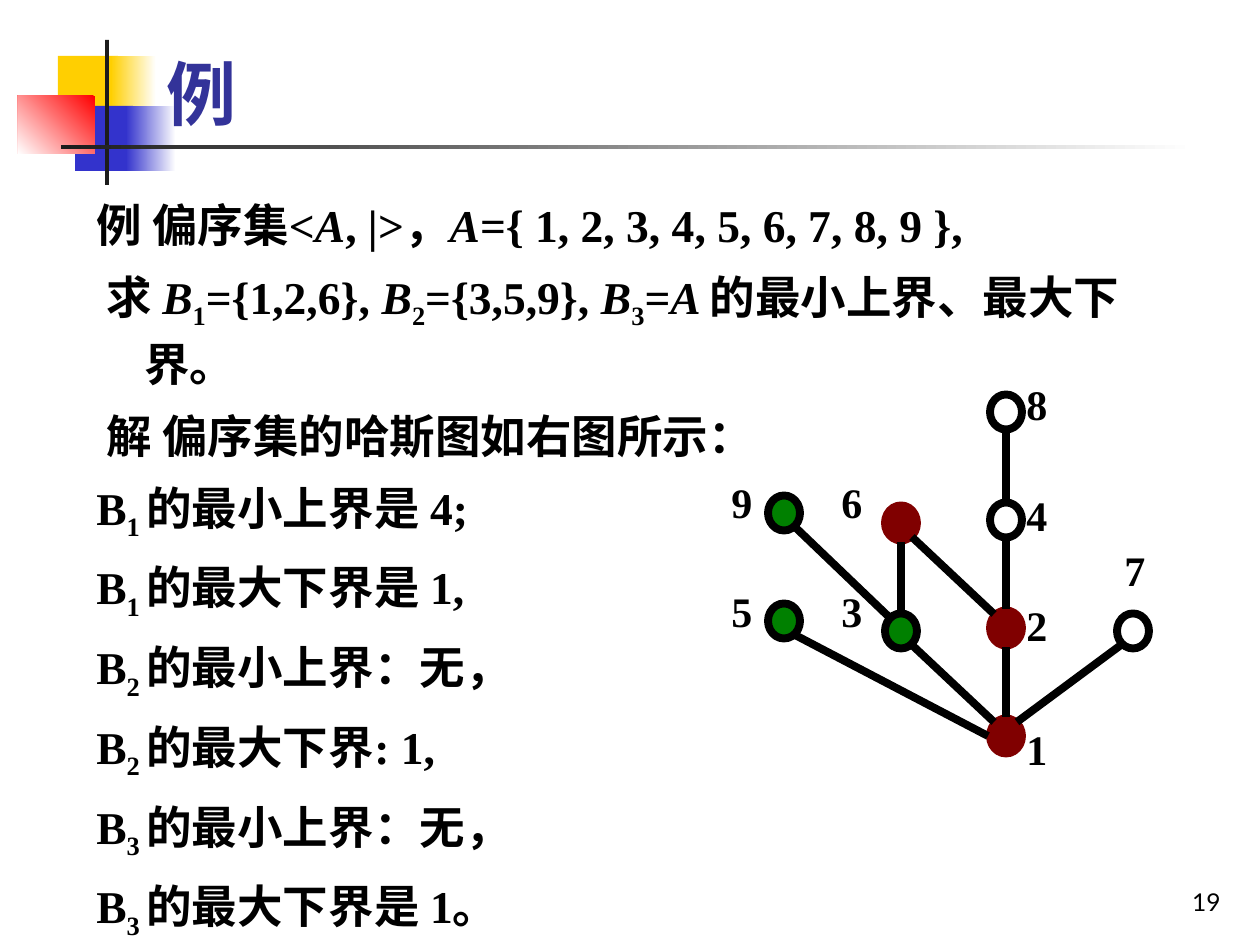
"""Build the slide on least upper and greatest lower bounds in a poset."""
from pptx import Presentation
from pptx.dml.color import RGBColor
from pptx.enum.shapes import MSO_CONNECTOR as CONN, MSO_SHAPE as SHAPE
from pptx.enum.text import MSO_ANCHOR as ANCHOR, PP_ALIGN as ALIGN
from pptx.util import Emu, Pt
from lxml.etree import SubElement
from pptx.oxml.ns import qn

COLORS = {"white": "FFFFFF", "black": "000000", "yellow": "FFCF01",
          "blue": "3333CC", "red": "FF0000", "ink": "1C1C1C",
          "title": "333399", "maroon": "800000", "green": "008000"}
SERIF, CJK = "Times New Roman", "Noto Sans CJK SC"

DECOR = [
    ((58, 56, 60, 66), ["yellow"], 0),
    ((111, 56, 45, 66), ["white", "yellow"], 180),
    ((75, 106, 58, 65), ["blue"], 0),
    ((126, 106, 50, 65), ["white", "blue"], 180),
    ((18, 96, 77, 58), ["red", "white"], 225),
    ((105, 40, 4, 145), ["ink"], 0),
    ((61, 145, 1134, 4), ["white", "ink"], 180),
]

HANG = 48
BODY = [
    (-HANG, [("例 偏序集<", ""), ("A", "i"), (", ", ""), ("|", "i"), (">，", ""),
             ("A", "i"), ("={ 1, 2, 3, 4, 5, 6, 7, 8, 9 },", "")]),
    (-38, [("求 ", ""), ("B", "i"), ("1", "sub"), ("={1,2,6}, ", ""),
           ("B", "i"), ("2", "sub"), ("={3,5,9}, ", ""), ("B", "i"), ("3", "sub"),
           ("=", ""), ("A ", "i"), ("的最小上界、最大下界。", "")]),
    (-38, [("解 ", ""), ("偏序集的哈斯图如右图所示：", "cjk")]),
]
ANSWERS = [("1", "的最小上界是 4;"), ("1", "的最大下界是 1,"),
           ("2", "的最小上界：无，"), ("2", "的最大下界: 1,"),
           ("3", "的最小上界：无，"), ("3", "的最大下界是 1。")]
BODY += [(-HANG, [("B", ""), (n + " ", "sub"), (text, "")]) for n, text in ANSWERS]

NODES = {
    "8": ((1006, 412), None, "black", (1014, 367)),
    "4": ((1006, 520), None, "black", (1014, 478)),
    "2": ((1006, 628), "maroon", "maroon", (1014, 588)),
    "1": ((1006, 736), "maroon", "maroon", (1014, 712)),
    "6": ((901, 523), "maroon", "maroon", (829, 465)),
    "3": ((901, 631), "green", "black", (829, 574)),
    "9": ((784, 513), "green", "black", (719, 465)),
    "5": ((784, 621), "green", "black", (719, 574)),
    "7": ((1133, 631), None, "black", (1112, 533)),
}
NODE_W, NODE_H = 32, 35
SITES = {"top": (0, -19), "bottom": (0, 19), "left": (-18, 0),
         "top left": (-12, -14), "top right": (11, -14),
         "bottom left": (-12, 14), "bottom right": (11, 14)}
EDGES = [("7", "bottom left", "1", "top right"), ("1", "top", "2", "bottom"),
         ("2", "top", "4", "bottom"), ("4", "top", "8", "bottom"),
         ("2", "top left", "6", "bottom right"), ("1", "top left", "3", "bottom right"),
         ("3", "top", "6", "bottom"), ("3", "top left", "9", "bottom right"),
         ("1", "left", "5", "bottom right")]


def px(v):
    return Emu(round(v * 914400 / 126))


def rgb(name):
    return RGBColor.from_string(COLORS[name])


def add_preset(s, kind, box):
    sp = s.shapes.add_shape(kind, *map(px, box))
    sp.shadow.inherit = False
    return sp


def add_decor(s, box, colors, angle):
    sp = add_preset(s, SHAPE.RECTANGLE, box)
    sp.line.fill.background()
    if len(colors) == 1:
        sp.fill.solid()
        sp.fill.fore_color.rgb = rgb(colors[0])
        return
    sp.fill.gradient()
    sp.fill.gradient_angle = angle
    for stop, color in zip(sp.fill.gradient_stops, colors):
        stop.color.rgb = rgb(color)


def add_frame(s, box, anchor=ANCHOR.TOP):
    tf = s.shapes.add_textbox(*map(px, box)).text_frame
    tf.word_wrap = True
    tf.vertical_anchor = anchor
    return tf


def style(r, size, font=SERIF, color="black", bold=True):
    r.font.size, r.font.name, r.font.bold = Pt(size), font, bold
    r.font.color.rgb = rgb(color)


def add_label(s, box, text, size, anchor=ANCHOR.TOP, **look):
    tf = add_frame(s, box, anchor)
    tf.text = text
    style(tf.paragraphs[0].runs[0], size, **look)
    return tf.paragraphs[0]


def add_body(s):
    tf = add_frame(s, (84, 185, 1131, 702))
    for i, (indent, runs) in enumerate(BODY):
        p = tf.add_paragraph() if i else tf.paragraphs[0]
        p.line_spacing = 1.1
        p.space_before = Pt(6.5 if i else 0)
        pPr = p._p.get_or_add_pPr()
        pPr.set("marL", str(px(HANG)))
        pPr.set("indent", str(px(indent)))
        pPr.set("hangingPunct", "0")
        for text, kind in runs:
            r = p.add_run()
            r.text = text
            style(r, 26, CJK if kind == "cjk" else SERIF)
            r.font.italic = kind == "i"
            if kind == "sub":
                r._r.get_or_add_rPr().set("baseline", "-25000")


def add_node(s, center, fill, line):
    x, y = center
    sp = add_preset(s, SHAPE.OVAL, (x - NODE_W / 2, y - NODE_H / 2, NODE_W, NODE_H))
    if fill:
        sp.fill.solid()
        sp.fill.fore_color.rgb = rgb(fill)
    else:
        sp.fill.background()
    sp.line.color.rgb = rgb(line)
    sp.line.width = Pt(4.5)


def site(node, side):
    return [px(c + d) for c, d in zip(NODES[node][0], SITES[side])]


def add_hasse(s):
    for center, fill, line, _ in NODES.values():
        add_node(s, center, fill, line)
    for a, a_side, b, b_side in EDGES:
        cx = s.shapes.add_connector(CONN.STRAIGHT, *site(a, a_side), *site(b, b_side))
        cx.line.color.rgb = rgb("black")
        cx.line.width = Pt(4.5)
        SubElement(cx._element.spPr, qn("a:effectLst"))
    for name, (_, _, _, corner) in NODES.items():
        add_label(s, (*corner, 73, 68), name, 24).line_spacing = 1.1


def main():
    prs = Presentation()
    prs.slide_width, prs.slide_height = px(1260), px(945)
    s = prs.slides.add_slide(prs.slide_layouts[6])
    for decor in DECOR:
        add_decor(s, *decor)
    number = add_label(s, (970, 860, 263, 63), "19", 14, ANCHOR.BOTTOM,
                       font="Lato", bold=False)
    number.alignment = ALIGN.RIGHT
    add_label(s, (154, 35, 1074, 106), "例", 40, ANCHOR.BOTTOM, color="title")
    add_body(s)
    add_hasse(s)
    prs.save("out.pptx")


if __name__ == "__main__":
    main()
